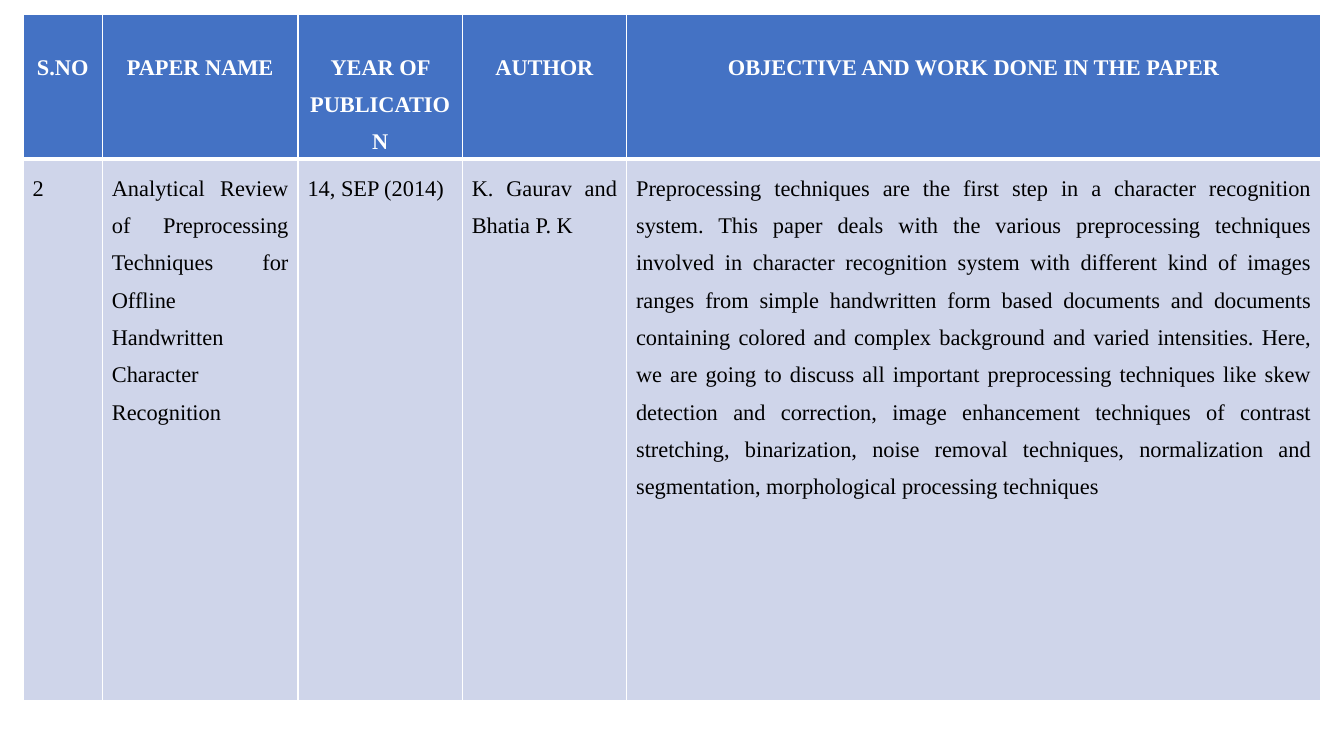
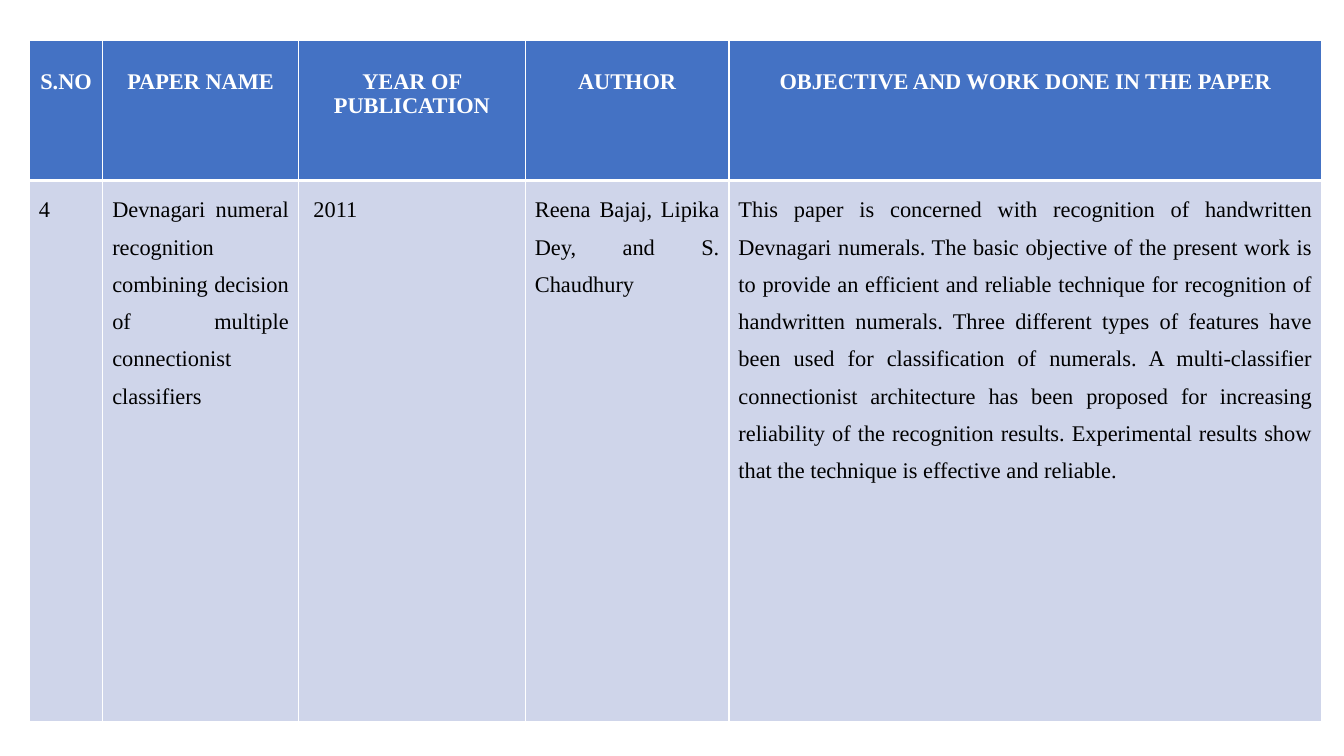
import pptx
import pptx.util
import pptx.dml.color
import pptx.enum.text
import pptx.oxml
import pptx.oxml.ns

Cm = pptx.util.Cm
Pt = pptx.util.Pt
Align = pptx.enum.text.PP_ALIGN

COLORS = {"header": "4472C4", "body": "CFD5EA", "rule": "FFFFFF",
          "header_text": "FFFFFF", "body_text": "000000"}
FONT = "Times New Roman"
HEADINGS = ["S.NO", "PAPER NAME", "YEAR OF PUBLICATION", "AUTHOR",
            "OBJECTIVE AND WORK DONE IN THE PAPER"]
THIN, THICK = 1, 3


def rgb(name):
    """Return the named colour."""
    return pptx.dml.color.RGBColor.from_string(COLORS[name])


def rule_cell(cell, top, bottom):
    """Draw the cell borders, with top and bottom widths in points."""
    properties = cell._tc.get_or_add_tcPr()
    for side, width in (("L", THIN), ("R", THIN), ("T", top), ("B", bottom)):
        properties.append(pptx.oxml.parse_xml(
            f'<a:ln{side} {pptx.oxml.ns.nsdecls("a")} w="{Pt(width)}">'
            f'<a:solidFill><a:srgbClr val="{COLORS["rule"]}"/></a:solidFill>'
            f'</a:ln{side}>'))


def fill_cell(cell, text, role, spacing):
    """Write and format one header or body cell."""
    is_header = role == "header"
    rule_cell(cell, THIN if is_header else THICK, THICK if is_header else THIN)
    cell.fill.solid()
    cell.fill.fore_color.rgb = rgb(role)
    cell.margin_left = cell.margin_right = Cm(0.24)
    cell.margin_top = Cm(0.72 if is_header else 0.12)
    cell.margin_bottom = Cm(0.1)
    cell.text = text
    paragraph = cell.text_frame.paragraphs[0]
    paragraph.alignment = Align.CENTER if is_header else Align.JUSTIFY
    paragraph.line_spacing = spacing
    paragraph.font.name = FONT
    paragraph.font.size = Pt(16)
    paragraph.font.bold = is_header
    paragraph.font.color.rgb = rgb(role + "_text")


def add_paper_slide(deck, left, top, widths, header_height, header_spacing, paper):
    """Add a slide with the review table of one paper; lengths in cm."""
    slide = deck.slides.add_slide(deck.slide_layouts[6])
    heights = [header_height, 13.64]
    review = slide.shapes.add_table(
        2, len(HEADINGS), Cm(left), Cm(top), Cm(sum(widths)), Cm(sum(heights))).table
    review.horz_banding = False
    for column, width in zip(review.columns, widths):
        column.width = Cm(width)
    for row, height in zip(review.rows, heights):
        row.height = Cm(height)
    for index, (heading, detail) in enumerate(zip(HEADINGS, paper)):
        fill_cell(review.cell(0, index), heading, "header", header_spacing)
        fill_cell(review.cell(1, index), detail, "body", 1.5)


PREPROCESSING_REVIEW = [
    "2",
    "Analytical Review of Preprocessing Techniques for Offline Handwritten "
    "Character Recognition",
    "14, SEP (2014)",
    "K. Gaurav and Bhatia P. K",
    "Preprocessing techniques are the first step in a character recognition system. "
    "This paper deals with the various preprocessing techniques involved in character "
    "recognition system with different kind of images ranges from simple handwritten "
    "form based documents and documents containing colored and complex background and "
    "varied intensities. Here, we are going to discuss all important preprocessing "
    "techniques like skew detection and correction, image enhancement techniques of "
    "contrast stretching, binarization, noise removal techniques, normalization and "
    "segmentation, morphological processing techniques",
]
NUMERAL_RECOGNITION = [
    "4",
    "Devnagari numeral recognition combining decision of multiple connectionist "
    "classifiers",
    "\u00a02011",
    "Reena Bajaj, Lipika Dey, and S. Chaudhury",
    "This paper is concerned with recognition of handwritten Devnagari numerals. The "
    "basic objective of the present work is to provide an efficient and reliable "
    "technique for recognition of handwritten numerals. Three different types of "
    "features have been used for classification of numerals. A multi-classifier "
    "connectionist architecture has been proposed for increasing reliability of the "
    "recognition results. Experimental results show that the technique is effective "
    "and reliable.",
]

deck = pptx.Presentation()
deck.slide_width, deck.slide_height = Cm(33.87), Cm(19.05)
add_paper_slide(deck, 0.58, 0.36, [2, 4.93, 4.14, 4.14, 17.5], 3.65, 1.5,
                PREPROCESSING_REVIEW)
add_paper_slide(deck, 0.74, 1.02, [1.85, 4.93, 5.72, 5.13, 14.94], 3.53, 1.0,
                NUMERAL_RECOGNITION)
deck.save("out.pptx")
